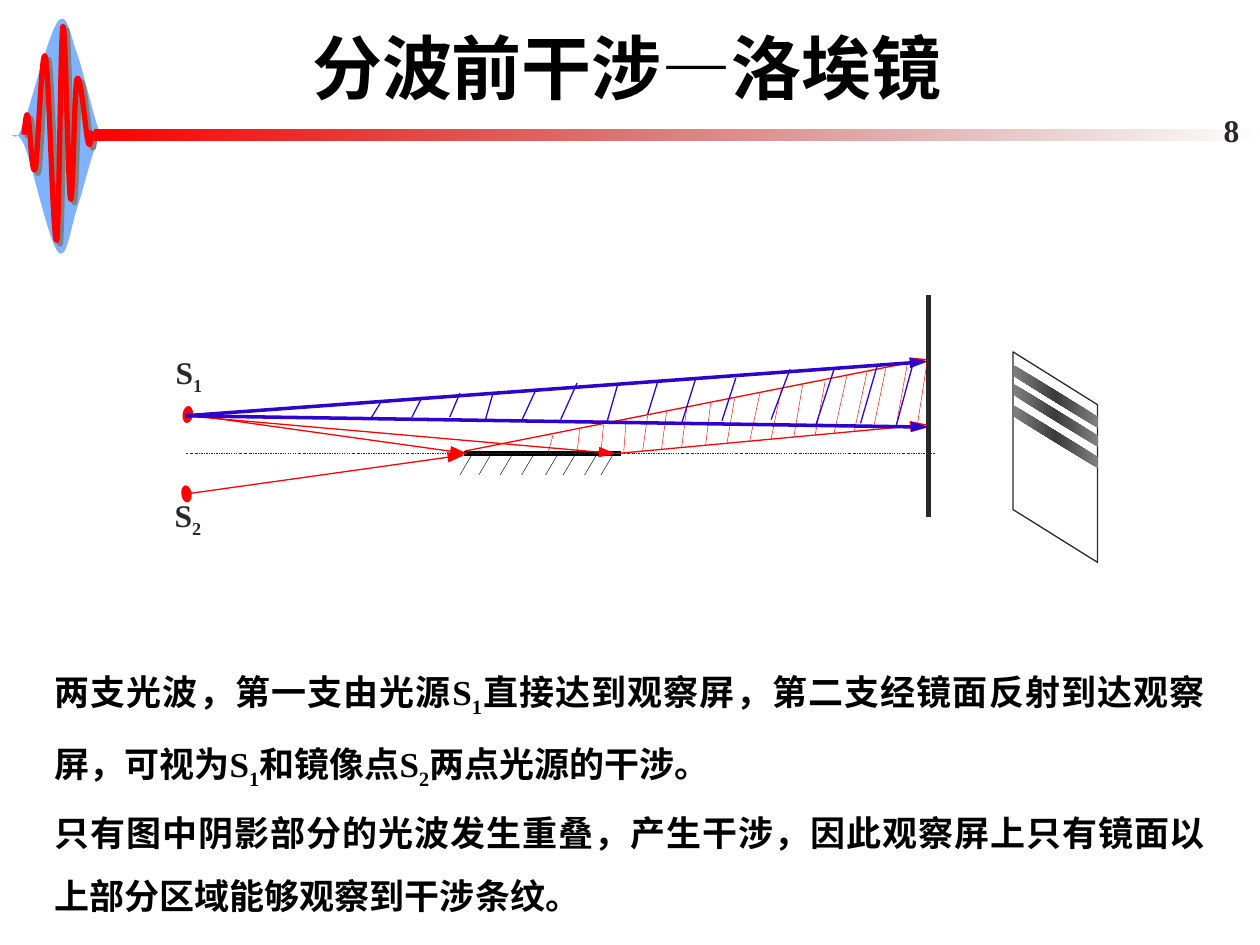
from lxml.etree import SubElement
from pptx import Presentation
from pptx.dml.color import RGBColor
from pptx.enum.dml import MSO_LINE
from pptx.enum.shapes import MSO_CONNECTOR, MSO_SHAPE
from pptx.enum.text import MSO_ANCHOR, PP_ALIGN
from pptx.oxml import parse_xml
from pptx.oxml.ns import nsdecls, qn
from pptx.util import Inches, Pt

W, H = 10, 7.5
CELL = W / 100
RED, BLUE, INK, BLACK = "FF0000", "2E03CD", "292929", "000000"
HAN, ROMAN = "Noto Sans CJK SC", "Times New Roman"


def hue(code):
    return RGBColor.from_string(code)


def area(box, x, y, w, h):
    return [Inches(v) for v in (box[0] + x * CELL, box[1] + y * CELL, w * CELL, h * CELL)]


def fade(shape, stops, angle):
    marks = "".join(
        f'<a:gs pos="{pos * 1000}"><a:srgbClr val="{code}"><a:alpha val="{alpha * 1000}"/>'
        "</a:srgbClr></a:gs>" for pos, code, alpha in stops)
    shape.fill.background()
    props = shape._element.spPr
    props.replace(props.find(qn("a:noFill")), parse_xml(
        f'<a:gradFill rotWithShape="1" {nsdecls("a")}><a:gsLst>{marks}</a:gsLst>'
        f'<a:lin ang="{angle * 60000}" scaled="0"/></a:gradFill>'))


def block(slide, kind, place, turn=0):
    shape = slide.shapes.add_shape(kind, *place)
    shape.shadow.inherit = False
    shape.line.fill.background()
    shape.rotation = turn
    return shape


def line(slide, box, start, end, code, width, **tips):
    ends = [Inches(box[i] + p[i] * CELL) for p in (start, end) for i in (0, 1)]
    item = slide.shapes.add_connector(MSO_CONNECTOR.STRAIGHT, *ends)
    item.line.color.rgb = hue(code)
    item.line.width = Pt(width)
    for side in ("headEnd", "tailEnd"):
        if side in tips:
            kind = tips[side]
            wide, long = ("lg", "med") if kind == "oval" else ("med", "lg")
            SubElement(item.line._get_or_add_ln(), qn(f"a:{side}"), type=kind, w=wide, len=long)
    SubElement(item._element.spPr, qn("a:effectLst"))
    return item


def style(para, size, code, face=ROMAN):
    para.font.size, para.font.bold, para.font.name = Pt(size), True, face
    para.font.color.rgb = hue(code)
    for run in para.runs:
        SubElement(run._r.get_or_add_rPr(), qn("a:ea"), typeface=HAN)


def write(para, text, size, code):
    for i, part in enumerate(text.split("_")):
        tail = part
        if i:
            sub = para.add_run()
            sub.text, tail = part[0], part[1:]
            sub.font._element.set("baseline", "-25000")
        if tail:
            para.add_run().text = tail
    style(para, size, code)


def label(slide, place, text, size=18, code=INK, wrap=False):
    frame = slide.shapes.add_textbox(*place).text_frame
    frame.word_wrap = wrap
    for i, row in enumerate(text.split("\n")):
        write(frame.add_paragraph() if i else frame.paragraphs[0], row, size, code)
    return frame


def curve(slide, box, start, parts, close):
    dots = [part[i:i + 2] for part in parts for i in (0, 2, 4)]
    form = slide.shapes.build_freeform(*start, scale=Inches(CELL) / 10)
    form.add_line_segments(dots, close=close)
    shape = form.convert_to_shape(Inches(box[0]), Inches(box[1]))
    shape.shadow.inherit = False
    legs = list(shape._element.spPr.iter(qn("a:lnTo")))
    for i in range(0, len(dots), 3):
        bend = parse_xml(f'<a:cubicBezTo {nsdecls("a")}/>')
        legs[i].addprevious(bend)
        for leg in legs[i:i + 3]:
            bend.append(leg[0])
            leg.getparent().remove(leg)
    return shape


def pulse(slide, box):
    hull = curve(slide, box, (9, 107), [
        (8, 106, 12, 110, 14, 108), (15, 106, 14, 110, 20, 95), (25, 80, 39, 26, 46, 17),
        (53, 8, 56, 28, 61, 42), (66, 56, 74, 91, 78, 102), (83, 113, 88, 106, 88, 108),
        (88, 110, 82, 103, 77, 113), (73, 122, 66, 151, 61, 166), (56, 181, 53, 208, 46, 200),
        (39, 192, 26, 133, 20, 117), (14, 102, 10, 109, 9, 107)], True)
    hull.fill.solid()
    hull.fill.fore_color.rgb = hue("0066FF")
    tint = hull._element.spPr.find(qn("a:solidFill"))[0]
    SubElement(tint, qn("a:alpha"), val="50000")
    hull.line.fill.background()
    wave = curve(slide, box, (19, 107), [
        (20, 98, 21, 88, 22, 92), (24, 97, 25, 142, 28, 134), (30, 126, 33, 35, 36, 45),
        (39, 54, 42, 195, 45, 191), (47, 187, 48, 26, 50, 21), (52, 15, 54, 151, 56, 158),
        (58, 165, 59, 70, 61, 63), (64, 55, 68, 106, 70, 113), (72, 120, 72, 106, 73, 104)], False)
    wave.fill.background()
    wave.line.color.rgb = hue(RED)
    wave.line.width = Pt(3)
    glow = wave._element.spPr.find(qn("a:effectLst"))
    cast = SubElement(glow, qn("a:outerShdw"), dist=str(Pt(2.8)), dir="2700000", algn="ctr")
    SubElement(cast, qn("a:srgbClr"), val="808080")


def header(slide, box):
    pulse(slide, box)
    bar = block(slide, MSO_SHAPE.RECTANGLE, area(box, 7.5, 10.3, 92.5, 0.84))
    fade(bar, [(0, RED, 100), (100, "760000", 0)], 0)
    title = slide.shapes.title
    title.left, title.top, title.width, title.height = area(box, 10.6, 1.25, 78.3, 7.85)
    title.text_frame.text = "分波前干涉—洛埃镜"
    title.text_frame.vertical_anchor = MSO_ANCHOR.BOTTOM
    para = title.text_frame.paragraphs[0]
    para.alignment = PP_ALIGN.CENTER
    style(para, 40, BLACK, HAN)
    page = label(slide, area(box, 90.65, 9.1, 8.7, 2.4), "8", wrap=True)
    page.vertical_anchor = MSO_ANCHOR.MIDDLE
    page.paragraphs[0].alignment = PP_ALIGN.RIGHT


def level(ray, x):
    (a, b), (c, d) = ray
    return b + (d - b) * (x - a) / (c - a)


def optics(slide, box):
    axis, spot, image = 11, (4.7, 8), (4.8, 14.2)
    near, far = (26.9, 10.8), (38.9, axis)
    line(slide, box, (26.8, axis), (39.3, axis), BLACK, 3)
    line(slide, box, (4.8, axis), (64.2, axis), INK, 0.25).line.dash_style = MSO_LINE.DASH_DOT
    line(slide, box, (63.7, 16), (63.7, -1.6), INK, 3)
    lower, upper = (far, (63.6, 8.7)), (near, (63.6, 3.5))
    for ray in (lower, upper):
        line(slide, box, *ray, RED, 0.75, tailEnd="triangle")
    for start, end in (((27.1, axis), (4.9, 7.9)), ((26.9, 11.1), image)):
        line(slide, box, start, end, RED, 0.75, headEnd="triangle", tailEnd="oval")
    tops = (63.6, 62, 60.3, 58.8, 57.2, 55.5, 53.7, 52, 50.3,
            48.3, 46.4, 44.5, 42.9, 41.4, 39.7, 37.9, 36, 33.9)
    leans = (0.8, 0.9, 1, 1, 1, 0.8, 0.7, 0.8, 0.8, 0.6, 0.4, 0.4, 0.4, 0.4, 0.2, 0.2, 0.2, 0.4)
    for x, lean in zip(tops, leans):
        foot = x - lean
        line(slide, box, (x, level(upper, x) + 0.1),
             (foot, min(level(lower, foot), axis - 0.1)), RED, 0.25)
    for text, x, y in (("S_1", 2.95, 2.5), ("S_2", 2.87, 13.9)):
        label(slide, area(box, x, y, 5, 5), text)
    for x in (27.5, 29, 30.7, 32.4, 34.3, 35.7, 37.4, 38.7):
        line(slide, box, (x, axis), (x - 1, axis + 1.7), BLACK, 0.25)
    line(slide, box, far, spot, RED, 0.75, headEnd="triangle")
    for end in ((63.6, 3.7), (63.7, 8.9)):
        line(slide, box, spot, end, BLUE, 2, tailEnd="triangle")
    for x, y, run, rise in (
            (19.5, 8.1, 0.8, 1.3), (22.7, 8.1, 0.8, 1.6), (25.7, 8.1, 0.8, 1.9),
            (28.5, 8.4, 0.6, 2.1), (31.4, 8.4, 1.1, 2.4), (34.5, 8.3, 1.3, 2.9),
            (38.2, 8.4, 0.8, 2.8), (41.4, 7.9, 0.8, 2.6), (44.1, 8.6, 1.1, 3.5),
            (47.3, 8.4, 1.1, 3.4), (51.2, 8.3, 1.5, 4), (54.7, 8.9, 1.5, 4.6),
            (61.1, 8.9, 1.3, 4.8), (58.3, 8.6, 1.3, 4.5)):
        line(slide, box, (x, y), (x + run, y - rise), BLUE, 0.75)


def fringes(slide, box):
    kind = MSO_SHAPE.PARALLELOGRAM
    board = block(slide, kind, area(box, 0, 4.8, 16.7, 6.7), 270)
    board.adjustments[0] = 0.625
    board.fill.background()
    board.line.color.rgb = hue(INK)
    board.line.width = Pt(0.75)
    for y in (0, 3.2, 1.5):
        band = block(slide, kind, area(box, 5.9, y, 5, 6.7), 90)
        band.adjustments[0] = 0.823
        fade(band, [(0, "808080", 100), (50, "3B3B3B", 100), (100, "808080", 100)], 90)


def notes(slide, box):
    text = ("两支光波，第一支由光源S_1直接达到观察屏，第二支经镜面反射到达观察屏，"
            "可视为S_1和镜像点S_2两点光源的干涉。\n"
            "只有图中阴影部分的光波发生重叠，产生干涉，因此观察屏上只有镜面以上部分区域能够观察到干涉条纹。")
    frame = label(slide, area(box, 0, -0.14, 93.3, 20.6), text, 20, BLACK, True)
    for para in frame.paragraphs:
        para.alignment, para.line_spacing = PP_ALIGN.JUSTIFY, 1.5


def main():
    deck = Presentation()
    deck.slide_width, deck.slide_height = Inches(W), Inches(H)
    slide = deck.slides.add_slide(deck.slide_layouts[5])
    header(slide, (0, 0))
    optics(slide, (W / 10, H / 3))
    fringes(slide, (W * 0.754, H * 0.375))
    notes(slide, (W / 30, H * 0.68))
    deck.save("out.pptx")


if __name__ == "__main__":
    main()
